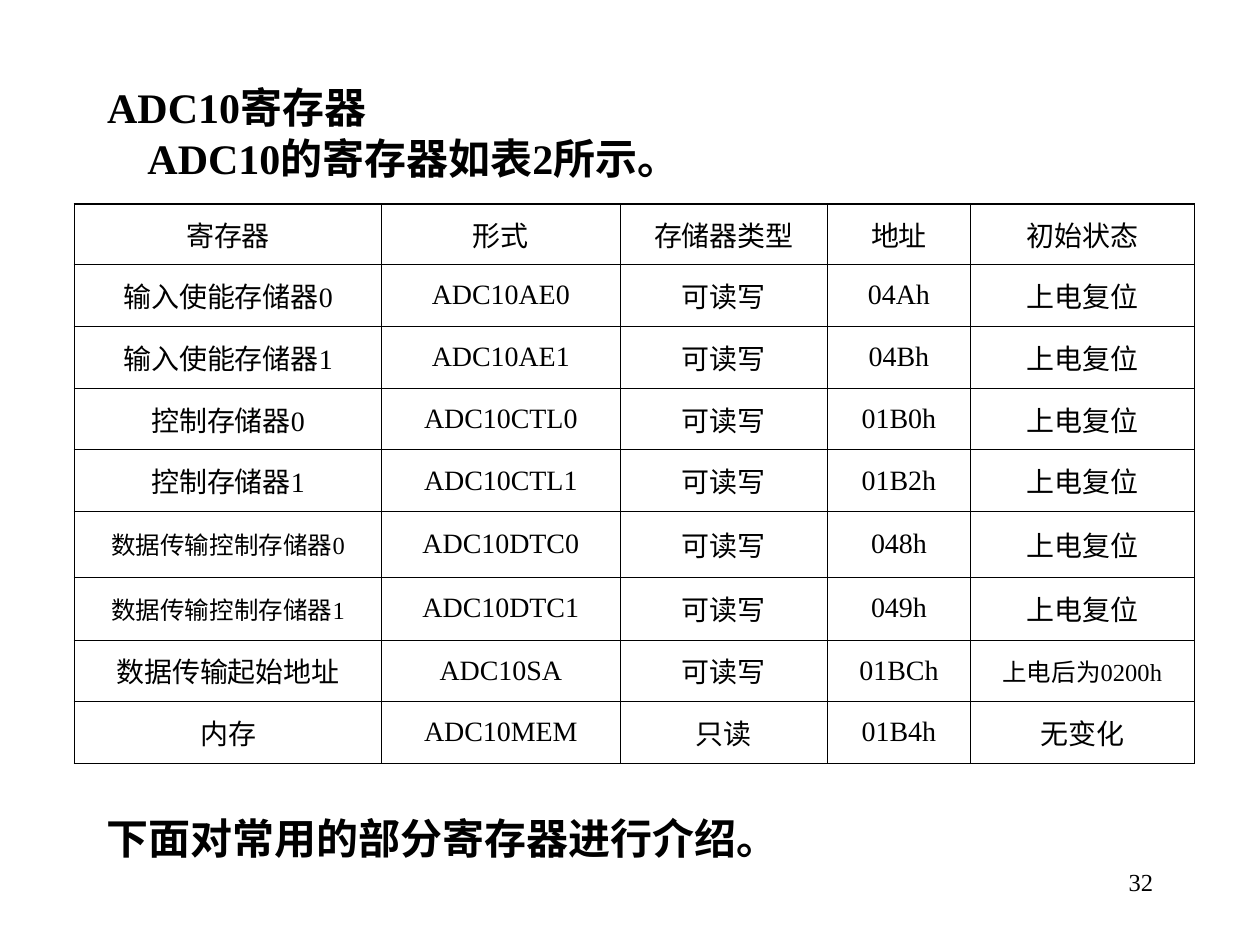
from dataclasses import dataclass

from lxml import etree
from pptx import Presentation
from pptx.dml.color import RGBColor
from pptx.enum import text
from pptx.oxml import ns
from pptx.util import Inches, Pt


@dataclass(frozen=True)
class Theme:
    font: str = "Times New Roman"
    ink: str = "000000"
    heading: float = 24
    body: float = 16
    small: float = 14
    outer_line: float = 1.08
    inner_line: float = 0.45


class RegisterSlide:
    def __init__(self, deck, theme):
        self.theme = theme
        self.slide = deck.slides.add_slide(deck.slide_layouts[5])

    def place(self, shape, box):
        for side, length in zip(("left", "top", "width", "height"), box):
            setattr(shape, side, Inches(length))

    def set_words(self, paragraph, words, size, bold=False, align=text.PP_ALIGN.LEFT):
        paragraph.text = words
        paragraph.alignment = align
        paragraph.line_spacing = 1.0
        style = {"name": self.theme.font, "size": Pt(size), "bold": bold}
        font = paragraph.runs[0].font
        for key, value in style.items():
            setattr(font, key, value)
        font.color.rgb = RGBColor.from_string(self.theme.ink)

    def set_frame(self, frame, auto_size):
        layout = {
            "word_wrap": True,
            "vertical_anchor": text.MSO_ANCHOR.TOP,
            "auto_size": auto_size,
        }
        for key, value in layout.items():
            setattr(frame, key, value)

    def title(self, heading, lead, box, indent):
        title = self.slide.shapes.title
        self.place(title, box)
        frame = title.text_frame
        self.set_frame(frame, text.MSO_AUTO_SIZE.SHAPE_TO_FIT_TEXT)
        self.set_words(frame.paragraphs[0], heading, self.theme.heading, True)
        lead_line = frame.add_paragraph()
        self.set_words(lead_line, lead, self.theme.heading, True)
        lead_line.space_before = Pt(0)
        lead_line._p.get_or_add_pPr().set("marL", str(Inches(indent)))

    def note(self, words, box, size, bold=False, align=text.PP_ALIGN.LEFT,
             auto_size=text.MSO_AUTO_SIZE.NONE):
        note = self.slide.shapes.add_textbox(*map(Inches, box))
        self.set_frame(note.text_frame, auto_size)
        self.set_words(note.text_frame.paragraphs[0], words, size, bold, align)

    def border(self, cell, widths):
        properties = cell._tc.get_or_add_tcPr()
        for order, (side, width) in enumerate(widths.items()):
            line = etree.Element(ns.qn(f"a:ln{side}"), w=str(Pt(width)))
            fill = etree.SubElement(line, ns.qn("a:solidFill"))
            etree.SubElement(fill, ns.qn("a:srgbClr"), val=self.theme.ink)
            properties.insert(order, line)

    def table(self, rows, box, column_widths, row_heights, small_words):
        grid = self.slide.shapes.add_table(
            len(rows), len(column_widths), *map(Inches, box)).table
        grid.first_row = grid.horz_banding = False
        for column, width in zip(grid.columns, column_widths):
            column.width = Inches(width)
        for row, height in zip(grid.rows, row_heights):
            row.height = Inches(height)
        last_row, last_column = len(rows) - 1, len(column_widths) - 1
        for r, entries in enumerate(rows):
            for c, words in enumerate(entries):
                cell = grid.cell(r, c)
                cell.vertical_anchor = text.MSO_ANCHOR.MIDDLE
                cell.fill.background()
                size = self.theme.small if words in small_words else self.theme.body
                self.set_words(cell.text_frame.paragraphs[0], words, size,
                               align=text.PP_ALIGN.CENTER)
                edges = {"L": c == 0, "R": c == last_column,
                         "T": r == 0, "B": r == last_row}
                self.border(cell, {
                    side: self.theme.outer_line if outer else self.theme.inner_line
                    for side, outer in edges.items()})


READ_WRITE, RESET = "可读写", "上电复位"
HEADER = ("寄存器", "形式", "存储器类型", "地址", "初始状态")
REGISTERS = [
    ("输入使能存储器0", "ADC10AE0", READ_WRITE, "04Ah", RESET),
    ("输入使能存储器1", "ADC10AE1", READ_WRITE, "04Bh", RESET),
    ("控制存储器0", "ADC10CTL0", READ_WRITE, "01B0h", RESET),
    ("控制存储器1", "ADC10CTL1", READ_WRITE, "01B2h", RESET),
    ("数据传输控制存储器0", "ADC10DTC0", READ_WRITE, "048h", RESET),
    ("数据传输控制存储器1", "ADC10DTC1", READ_WRITE, "049h", RESET),
    ("数据传输起始地址", "ADC10SA", READ_WRITE, "01BCh", "上电后为0200h"),
    ("内存", "ADC10MEM", "只读", "01B4h", "无变化"),
]
LONG_ENTRIES = {"数据传输控制存储器0", "数据传输控制存储器1", "上电后为0200h"}


def main():
    deck = Presentation()
    deck.slide_width, deck.slide_height = Inches(10), Inches(7.5)
    theme = Theme()
    page = RegisterSlide(deck, theme)
    page.title("ADC10寄存器", "ADC10的寄存器如表2所示。", (0.75, 0.6, 8.66, 0.9), 0.32)
    page.table([HEADER, *REGISTERS], (0.59, 1.62, 8.9, 4.45),
               (2.44, 1.89, 1.65, 1.13, 1.78),
               [0.48] + [0.49] * 4 + [0.52, 0.5] + [0.49] * 2, LONG_ENTRIES)
    page.note("下面对常用的部分寄存器进行介绍。", (0.75, 6.4, 8.27, 0.5), theme.heading,
              bold=True, auto_size=text.MSO_AUTO_SIZE.SHAPE_TO_FIT_TEXT)
    page.note("32", (7.17, 6.83, 2.08, 0.5), theme.small, align=text.PP_ALIGN.RIGHT)
    deck.save("out.pptx")


if __name__ == "__main__":
    main()
